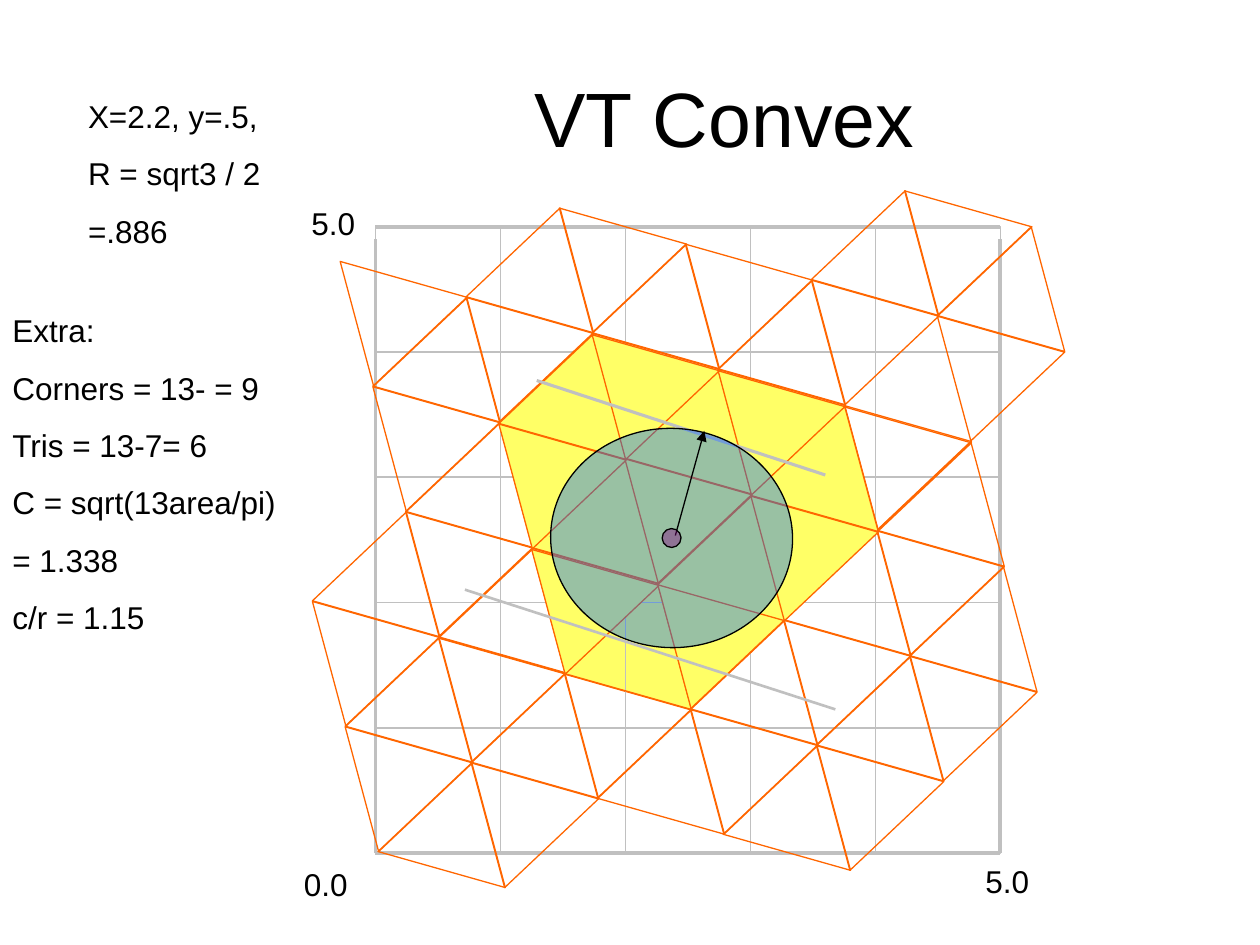
from lxml.etree import SubElement
from pptx import Presentation
from pptx.dml.color import RGBColor
from pptx.enum.shapes import MSO_CONNECTOR, MSO_SHAPE
from pptx.enum.text import MSO_ANCHOR, PP_ALIGN
from pptx.oxml.ns import qn
from pptx.util import Inches, Pt

ORANGE, GREY, YELLOW, BLACK = "FF6600", "C0C0C0", "FFFF66", "000000"
BLUE, PURPLE = "0066FF", "800080"
THIN, MEDIUM, THICK = 0.75, 1, 2.25

TILE_WIDTH, TILE_HEIGHT, TILT = 1.05, 0.88, 15.8
ORIGIN_X, ORIGIN_Y = 4.06, 2.63
COLUMN_RIGHT, COLUMN_DOWN = 0.5, 0.14
ROW_RIGHT, ROW_DOWN = 0.26, 1
OVERLAY_SHIFT = 0.01


def paint(shape, line, width, fill=None, opacity=None):
    shape.line.color.rgb = RGBColor.from_string(line)
    shape.line.width = Pt(width)
    properties = shape._element.spPr
    if fill:
        shape.fill.solid()
        shape.fill.fore_color.rgb = RGBColor.from_string(fill)
    elif hasattr(shape, "fill"):
        shape.fill.background()
    if opacity:
        tint = properties.find(qn("a:solidFill"))[0]
        SubElement(tint, qn("a:alpha")).set("val", str(opacity * 1000))
    SubElement(properties, qn("a:effectLst"))


def add_tile(shapes, row, column, fill=None, shift=0):
    left = ORIGIN_X + column * COLUMN_RIGHT + row * ROW_RIGHT
    top = ORIGIN_Y + column * COLUMN_DOWN + row * ROW_DOWN + shift
    tile = shapes.add_shape(MSO_SHAPE.ISOSCELES_TRIANGLE, Inches(left), Inches(top),
                            Inches(TILE_WIDTH), Inches(TILE_HEIGHT))
    points_down = column % 2
    tile.rotation = TILT + 180 * points_down
    paint(tile, ORANGE, THIN, fill)


COLUMN_DOWN, ROW_DOWN = 0.143, 0.995

deck = Presentation()
deck.slide_width, deck.slide_height = Inches(10), Inches(7.5)
page = deck.slides.add_slide(deck.slide_layouts[5])

sheet_columns = {
    -2: range(6, 9),
    -1: [*range(0, 6), 7],
    0: range(-3, 7),
    1: range(-3, 7),
    2: range(-4, 6),
    3: range(-5, 4),
    4: range(-5, -2),
}
hexagon_columns = {0: range(0, 5), 1: range(-1, 4), 2: range(-1, 2)}
hexagon = {(row, column) for row, columns in hexagon_columns.items() for column in columns}
hexagon_core = {(0, 2), (1, 0), (1, 1), (2, 0), (2, 1)}
hexagon_rim = sorted(hexagon - hexagon_core)
rim_neighbours = [(0, 5), (2, -2)]
tile_under_grid = (2, 0)

add_tile(page.shapes, *tile_under_grid, YELLOW, OVERLAY_SHIFT)

lattice = page.shapes.add_group_shape().shapes
cell_count, cell_width, cell_height = 5, 0.992, 0.994
grid_left, grid_top, side_gap = 2.98, 1.8, 0.1
grid_right = grid_left + cell_count * cell_width
grid_bottom = grid_top + cell_count * cell_height
open_cells = {(1, 2), (2, 2)}

for row in range(cell_count):
    for column in range(cell_count):
        if (row, column) not in open_cells:
            place = (grid_left + column * cell_width, grid_top + row * cell_height,
                     cell_width, cell_height)
            cell = lattice.add_shape(MSO_SHAPE.RECTANGLE, *map(Inches, place))
            paint(cell, GREY, THIN)

for step in range(cell_count + 1):
    x, y = grid_left + step * cell_width, grid_top + step * cell_height
    weight = THICK if step in (0, cell_count) else MEDIUM
    across = (grid_left, y, grid_right, y)
    down = (x, grid_top + side_gap, x, grid_bottom)
    for ends in (across, down):
        rule = lattice.add_connector(MSO_CONNECTOR.STRAIGHT, *map(Inches, ends))
        paint(rule, GREY, weight)

for row, columns in sheet_columns.items():
    for column in columns:
        if (row, column) != tile_under_grid:
            add_tile(lattice, row, column, YELLOW if (row, column) in hexagon_core else None)
for row, column in rim_neighbours:
    add_tile(lattice, row, column, None, OVERLAY_SHIFT)
for row, column in hexagon_rim:
    add_tile(lattice, row, column, YELLOW, OVERLAY_SHIFT)

disc = page.shapes.add_group_shape().shapes
center_x, center_y = 5.33, 4.27
upper_chord = (6.55, 3.77, 4.26, 3.02)
lower_chord = (6.63, 5.63, 3.69, 4.68)
radius_arrow = (5.36, 4.25, 5.59, 3.42)
big_circle = (1.92, 1.74, 2.5, BLUE)
center_dot = (0.15, 0.15, 58, PURPLE)

for kind, details in [("line", (upper_chord, GREY, 1.75)), ("oval", big_circle),
                      ("arrow", (radius_arrow, BLACK, THIN)),
                      ("line", (lower_chord, GREY, 1.5)), ("oval", center_dot)]:
    if kind == "oval":
        width, height, turn, fill = details
        place = (center_x - width / 2, center_y - height / 2, width, height)
        oval = disc.add_shape(MSO_SHAPE.OVAL, *map(Inches, place))
        oval.rotation = turn
        paint(oval, BLACK, THIN, fill, 40)
    else:
        ends, color, weight = details
        stroke = disc.add_connector(MSO_CONNECTOR.STRAIGHT, *map(Inches, ends))
        paint(stroke, color, weight)
        if kind == "arrow":
            outline = stroke._element.spPr.find(qn("a:ln"))
            SubElement(outline, qn("a:tailEnd")).set("type", "triangle")

title = page.shapes.title
title.left, title.top, title.width, title.height = map(Inches, (1.25, 0.3, 9, 1.25))
title.text_frame.vertical_anchor = MSO_ANCHOR.MIDDLE
texts = [(title, ["VT Convex"], 44, PP_ALIGN.CENTER, 0)]

notes = [
    ((0.6, 0.72, 1.62, 1.32), ["X=2.2, y=.5,", "R = sqrt3 / 2", "=.886"]),
    ((0, 2.42, 2.66, 2.68), ["Extra:", "Corners = 13- = 9", "Tris = 13-7= 6",
                             "C = sqrt(13area/pi)", "= 1.338", "c/r = 1.15"]),
]
axis_labels = [
    ((2.03, 6.82, 1.11, 0.4), ["0.0"]),
    ((2.09, 1.57, 1.11, 0.4), ["5.0"]),
    ((7.44, 6.79, 1.11, 0.4), ["5.0"]),
]
for group, align in ((notes, PP_ALIGN.LEFT), (axis_labels, PP_ALIGN.CENTER)):
    for place, lines in group:
        texts.append((page.shapes.add_textbox(*map(Inches, place)), lines, 18, align, 11.2))

for box, lines, size, align, gap in texts:
    frame = box.text_frame
    frame.word_wrap = True
    for index, line in enumerate(lines):
        para = frame.paragraphs[0] if index == 0 else frame.add_paragraph()
        for name, value in {"alignment": align, "space_before": Pt(gap)}.items():
            setattr(para, name, value)
        span = para.add_run()
        span.text = line
        for name, value in {"name": "Arial", "size": Pt(size)}.items():
            setattr(span.font, name, value)
        span.font.color.rgb = RGBColor.from_string(BLACK)

deck.save("out.pptx")
